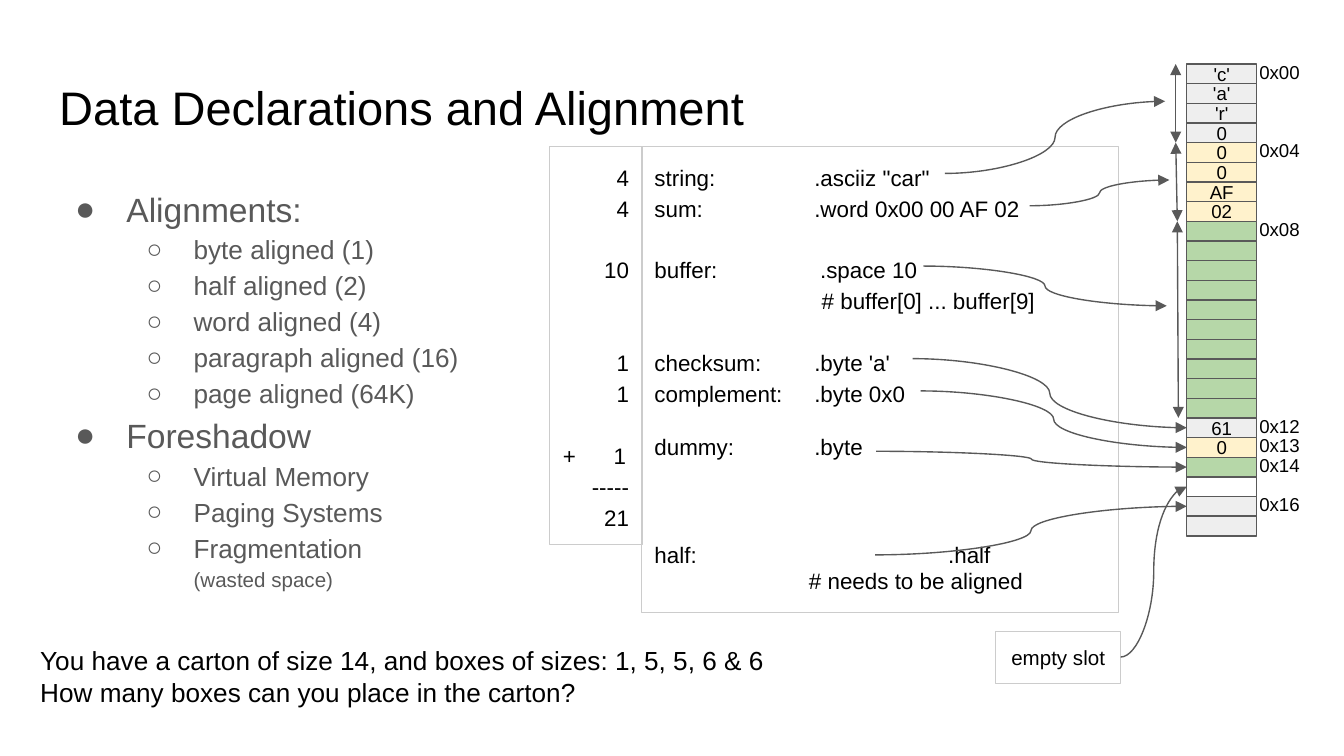
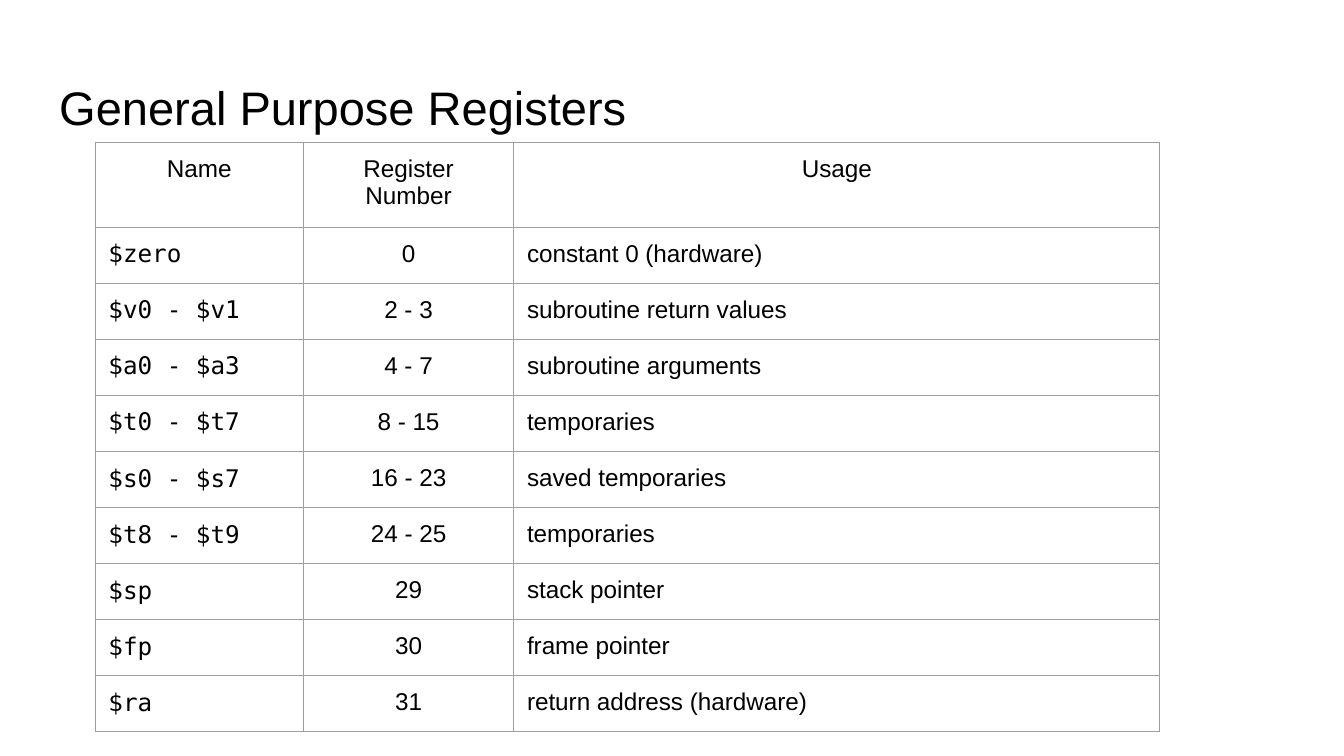
"""Builds two slides on data alignment and general purpose registers."""
from dataclasses import dataclass

from lxml import etree
from pptx import Presentation
from pptx import util as u
from pptx.dml import color
from pptx.enum import shapes, text
from pptx.oxml import ns


@dataclass
class Theme:
    font: str = "Arial"
    mono: str = "DejaVu Sans Mono"
    ink: str = "000000"
    grey: str = "595959"
    frame: str = "CCCCCC"
    grid: str = "9E9E9E"
    white: str = "FFFFFF"
    silver: str = "EEEEEE"
    cream: str = "FFF2CC"
    green: str = "B6D7A8"
    title: float = 25.2
    heading: int = 18
    body: int = 14
    table: int = 13
    code: int = 12
    note: int = 11
    memory: int = 10
    stroke: float = 0.75
    inset: float = 0.25
    leading: float = 1.15


theme = Theme()
rgb = color.RGBColor.from_string
LEFT, CENTER, RIGHT = text.PP_ALIGN.LEFT, text.PP_ALIGN.CENTER, text.PP_ALIGN.RIGHT


def place_text(slide, box, content, size, ink=theme.ink, align=LEFT, leading=1.0,
               fill=None, border=None, anchor=text.MSO_ANCHOR.TOP):
    left, top, width, height = map(u.Cm, box)
    if border:
        holder = slide.shapes.add_shape(shapes.MSO_SHAPE.RECTANGLE, left, top, width, height)
        holder.shadow.inherit = False
        holder.line.color.rgb = rgb(border)
        holder.line.width = u.Pt(theme.stroke)
        if fill:
            holder.fill.solid()
            holder.fill.fore_color.rgb = rgb(fill)
        else:
            holder.fill.background()
    else:
        holder = slide.shapes.add_textbox(left, top, width, height)
    frame = holder.text_frame
    frame.word_wrap = True
    frame.vertical_anchor = anchor
    frame.margin_left = frame.margin_right = u.Cm(theme.inset)
    frame.margin_top = frame.margin_bottom = u.Cm(theme.inset)
    frame.text = content
    for paragraph in frame.paragraphs:
        paragraph.alignment = align
        paragraph.line_spacing = leading
        for run in paragraph.runs:
            run.font.name = theme.font
            run.font.size = u.Pt(size)
            run.font.color.rgb = rgb(ink)
    return frame.paragraphs


def draw_arrow(slide, kind, start, end, ends):
    arrow = slide.shapes.add_connector(kind, *map(u.Cm, (*start, *end)))
    arrow.line.color.rgb = rgb(theme.grey)
    arrow.line.width = u.Pt(theme.stroke)
    outline = arrow.line._get_or_add_ln()
    for end_tag in ends:
        etree.SubElement(outline, ns.qn(end_tag), type="triangle")
    etree.SubElement(arrow._element.spPr, ns.qn("a:effectLst"))


deck = Presentation()
deck.slide_width, deck.slide_height = u.Cm(25.4), u.Cm(14.29)
alignment, registers = [deck.slides.add_slide(deck.slide_layouts[6]) for _ in range(2)]
for slide, title in ((alignment, "Data Declarations and Alignment"),
                     (registers, "General Purpose Registers")):
    place_text(slide, (0.87, 1.24, 23.67, 1.6), title, theme.title)

outline = [
    (0, "Alignments:"),
    (1, "byte aligned (1)"),
    (1, "half aligned (2)"),
    (1, "word aligned (4)"),
    (1, "paragraph aligned (16)"),
    (1, "page aligned (64K)"),
    (0, "Foreshadow"),
    (1, "Virtual Memory"),
    (1, "Paging Systems"),
    (1, "Fragmentation\v(wasted space)"),
]
levels = [(1.27, -0.97, "●", theme.heading), (2.54, -0.89, "○", theme.body)]
topics = place_text(alignment, (0.87, 3.2, 23.67, 9.5), "\n".join(line for _, line in outline),
                    theme.body, theme.grey, leading=theme.leading)
for topic, (level, _) in zip(topics, outline):
    margin, hang, bullet, size = levels[level]
    topic.level = level
    for run in topic.runs:
        run.font.size = u.Pt(size)
    settings = topic._p.get_or_add_pPr()
    settings.set("marL", str(u.Cm(margin)))
    settings.set("indent", str(u.Cm(hang)))
    bullet_color = etree.SubElement(settings, ns.qn("a:buClr"))
    etree.SubElement(bullet_color, ns.qn("a:srgbClr"), val=theme.grey)
    etree.SubElement(settings, ns.qn("a:buFont"), typeface=theme.font)
    etree.SubElement(settings, ns.qn("a:buChar"), char=bullet)
topics[-1].runs[-1].font.size = u.Pt(theme.note)

declarations = [
    ("string:\t.asciiz \"car\"", 3.02, 0, theme.leading),
    ("sum:\t.word 0x00 00 AF 02", 3.02, 0, theme.leading),
    ("buffer:\t.space 10", 3.13, 16.6, theme.leading),
    ("\t# buffer[0] ... buffer[9]", 3.16, 0, theme.leading),
    ("checksum:\t.byte 'a'", 3.02, 16.6, theme.leading),
    ("complement:\t.byte 0x0", 3.02, 0, theme.leading),
    ("dummy:\t.byte", 3.02, 13.8, 1.0),
    ("half:\t.half", 5.55, 43.4, 1.0),
    ("\t# needs to be aligned", 2.92, 0, 1.0),
]
sizes = [
    ("4", None, 0, theme.leading),
    ("4", None, 0, theme.leading),
    ("10", None, 16.6, theme.leading),
    ("1", None, 33.2, theme.leading),
    ("1", None, 0, theme.leading),
    ("+\t1", 0.96, 16.6, theme.leading),
    ("-----", None, 0, theme.leading),
    ("21", None, 0, theme.leading),
]
for box, listing, align in (((12.12, 2.77, 9.02, 8.81), declarations, LEFT),
                            ((10.39, 2.77, 1.75, 7.52), sizes, RIGHT)):
    lines = place_text(alignment, box, "\n".join(entry[0] for entry in listing),
                       theme.code, align=align, border=theme.frame)
    for line, (_, tab, gap, leading) in zip(lines, listing):
        line.line_spacing = leading
        line.space_before = u.Pt(gap)
        if tab:
            line.alignment = LEFT
            tabs = etree.SubElement(line._p.get_or_add_pPr(), ns.qn("a:tabLst"))
            etree.SubElement(tabs, ns.qn("a:tab"), pos=str(u.Cm(tab)), algn="l")

place_text(alignment, (0.51, 11.94, 18.8, 1.7),
           "You have a carton of size 14, and boxes of sizes: 1, 5, 5, 6 & 6\n"
           "How many boxes can you place in the carton?", theme.body)

memory_left, memory_top, memory_width = 22.43, 1.21, 1.32
slot_height = 8.92 / 24
slots = [(value, theme.silver) for value in ("'c'", "'a'", "'r'", "0")]
slots += [(value, theme.cream) for value in ("0", "0", "AF", "02")]
slots += [("", theme.green)] * 10
slots += [("61", theme.silver), ("0", theme.cream), ("", theme.green), ("", theme.white)]
slots += [("", theme.silver)] * 2
for address, (value, fill) in enumerate(slots):
    place_text(alignment,
               (memory_left, memory_top + address * slot_height, memory_width, slot_height),
               value, theme.memory, align=CENTER, fill=fill, border=theme.grey,
               anchor=text.MSO_ANCHOR.MIDDLE)

for first, last, start_x, end_x in ((0, 4, 22.22, 22.22), (4, 8, 22.22, 22.25),
                                    (8, 18, 22.25, 22.27)):
    draw_arrow(alignment, shapes.MSO_CONNECTOR.STRAIGHT,
               (start_x, memory_top + first * slot_height),
               (end_x, memory_top + last * slot_height), ("a:headEnd", "a:tailEnd"))

for address in (0, 4, 8, 18, 19, 20, 22):
    place_text(alignment, (23.55, memory_top + address * slot_height - 0.28, 1.47, 0.94),
               f"0x{address:02x}", theme.memory)

place_text(alignment, (18.82, 11.94, 2.36, 0.98), "empty slot", theme.note,
           align=CENTER, border=theme.frame)

pointers = [
    (17.86, 3.28, 22.02, 1.9),
    (19.46, 3.89, 22.1, 5.9),
    (17.45, 5.03, 22.05, 12.3),
    (17.25, 6.78, memory_left, 18.5),
    (17.4, 7.39, memory_left, 19.5),
    (16.56, 8.53, memory_left, 20.5),
    (16.54, 10.49, memory_left, 22.5),
    (21.18, 12.42, memory_left, 21.5),
]
for start_x, start_y, end_x, slot in pointers:
    draw_arrow(alignment, shapes.MSO_CONNECTOR.CURVE, (start_x, start_y),
               (end_x, memory_top + slot * slot_height), ("a:tailEnd",))

register_rows = [
    ("Name", "Register\nNumber", "Usage"),
    ("$zero", "0", "constant 0 (hardware)"),
    ("$v0 - $v1", "2 - 3", "subroutine return values"),
    ("$a0 - $a3", "4 - 7", "subroutine arguments"),
    ("$t0 - $t7", "8 - 15", "temporaries"),
    ("$s0 - $s7", "16 - 23", "saved temporaries"),
    ("$t8 - $t9", "24 - 25", "temporaries"),
    ("$sp", "29", "stack pointer"),
    ("$fp", "30", "frame pointer"),
    ("$ra", "31", "return address (hardware)"),
]
column_widths = (3.93, 3.98, 12.21)
row_height = 1.06
register_table = registers.shapes.add_table(
    len(register_rows), len(column_widths), u.Cm(1.8), u.Cm(2.69),
    u.Cm(sum(column_widths)), u.Cm(row_height * len(register_rows))).table
register_table.first_row = register_table.horz_banding = False
for column, width in zip(register_table.columns, column_widths):
    column.width = u.Cm(width)
for row_index, entries in enumerate(register_rows):
    register_table.rows[row_index].height = u.Cm(row_height)
    for column_index, entry in enumerate(entries):
        cell = register_table.cell(row_index, column_index)
        cell.text_frame.text = entry
        cell.margin_left = cell.margin_right = u.Cm(theme.inset)
        cell.margin_top = cell.margin_bottom = u.Cm(theme.inset)
        for paragraph in cell.text_frame.paragraphs:
            paragraph.alignment = CENTER if row_index == 0 or column_index == 1 else LEFT
            for run in paragraph.runs:
                run.font.name = theme.mono if row_index and column_index == 0 else theme.font
                run.font.size = u.Pt(theme.table)
                run.font.color.rgb = rgb(theme.ink)
        for side in ("a:lnL", "a:lnR", "a:lnT", "a:lnB"):
            edge = etree.SubElement(cell._tc.get_or_add_tcPr(), ns.qn(side),
                                    w=str(u.Pt(theme.stroke)))
            edge_fill = etree.SubElement(edge, ns.qn("a:solidFill"))
            etree.SubElement(edge_fill, ns.qn("a:srgbClr"), val=theme.grid)
        cell.fill.background()

deck.save("out.pptx")
